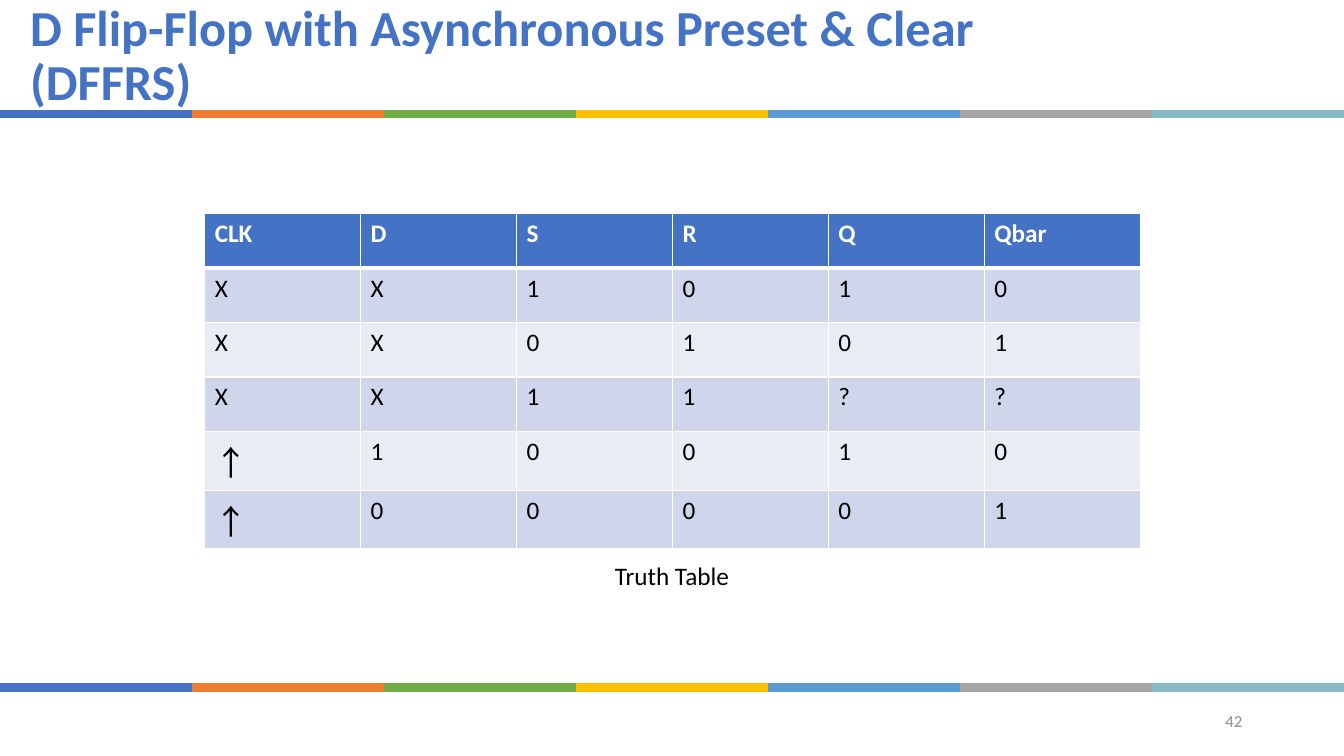
from dataclasses import dataclass
from typing import NamedTuple

from lxml import etree
from pptx import Presentation
from pptx import util as u
from pptx.dml import color
from pptx.enum import shapes, text
from pptx.oxml import ns


@dataclass(frozen=True)
class Theme:
    font: str = "Calibri"
    symbol: str = "Noto Sans CJK JP"
    blue: str = "4472C4"
    black: str = "000000"
    white: str = "FFFFFF"
    grey: str = "8C8C8C"
    bands: tuple = ("CFD5EA", "E9EBF5")
    stripes: tuple = ("4472C4", "ED7D31", "70AD47", "FFC000",
                      "5B9BD5", "A5A5A5", "86BAC4")
    title: int = 36
    arrow: int = 24
    body: int = 18
    small: int = 12


class Box(NamedTuple):
    left: float
    top: float
    width: float
    height: float

    def inches(self) -> list:
        return [u.Inches(n) for n in self]


class Style(NamedTuple):
    size: int
    color: str
    bold: bool = False
    font: str = "Calibri"


class Label(NamedTuple):
    words: str
    box: Box
    style: Style
    align: text.PP_ALIGN
    anchor: text.MSO_ANCHOR


WIDTH, HEIGHT = 13.33, 7.5
THEME = Theme()
HEAD = Style(THEME.body, THEME.white, True)
BODY = Style(THEME.body, THEME.black)
ARROW = Style(THEME.arrow, THEME.black, False, THEME.symbol)
GRID = Box(2.03, 2.12, 9.28, 3.24)
TRUTH = (
    ("CLK", "D", "S", "R", "Q", "Qbar"),
    ("X", "X", "1", "0", "1", "0"),
    ("X", "X", "0", "1", "0", "1"),
    ("X", "X", "1", "1", "?", "?"),
    ("↑", "1", "0", "0", "1", "0"),
    ("↑", "0", "0", "0", "0", "1"),
)
TITLE = Label("D Flip-Flop with Asynchronous Preset & Clear (DFFRS)",
              Box(0.2, 0.19, 10.93, 0.76),
              Style(THEME.title, THEME.blue, True),
              text.PP_ALIGN.LEFT, text.MSO_ANCHOR.MIDDLE)
LABELS = (
    Label("42", Box(9.42, 6.95, 3, 0.4), Style(THEME.small, THEME.grey),
          text.PP_ALIGN.RIGHT, text.MSO_ANCHOR.MIDDLE),
    Label("Truth Table", Box(3.85, 5.51, 5.63, 0.4), BODY,
          text.PP_ALIGN.CENTER, text.MSO_ANCHOR.TOP),
)


def add_run(para, words: str, style: Style) -> None:
    run = para.add_run()
    run.text = words
    font = run.font
    font.name, font.size, font.bold = style.font, u.Pt(style.size), style.bold
    font.color.rgb = color.RGBColor.from_string(style.color)
    if style.font == THEME.symbol:
        props = run._r.get_or_add_rPr()
        etree.SubElement(props, ns.qn("a:ea"), typeface=style.font)


def fill_label(shape, label: Label) -> None:
    shape.left, shape.top, shape.width, shape.height = label.box.inches()
    frame = shape.text_frame
    frame.word_wrap = True
    frame.auto_size = text.MSO_AUTO_SIZE.NONE
    frame.vertical_anchor = label.anchor
    para = frame.paragraphs[0]
    para.alignment = label.align
    add_run(para, label.words, label.style)


def add_stripes(slide, top: float) -> None:
    step = WIDTH / len(THEME.stripes)
    for i, tint in enumerate(THEME.stripes):
        line = slide.shapes.add_connector(
            shapes.MSO_CONNECTOR.STRAIGHT, u.Inches(i * step), u.Inches(top),
            u.Inches((i + 1) * step), u.Inches(top))
        line.line.width = u.Pt(6)
        line.line.color.rgb = color.RGBColor.from_string(tint)
        etree.SubElement(line.element.spPr, ns.qn("a:effectLst"))


def add_edges(cell, row: int) -> None:
    props = cell._tc.get_or_add_tcPr()
    thick = {(0, "B"), (1, "T")}
    for i, side in enumerate("LRTB"):
        width = 3 if (row, side) in thick else 1
        edge = etree.Element(ns.qn("a:ln" + side), w=str(u.Pt(width)))
        paint = etree.SubElement(edge, ns.qn("a:solidFill"))
        etree.SubElement(paint, ns.qn("a:srgbClr"), val=THEME.white)
        props.insert(i, edge)


def add_truth(slide) -> None:
    table = slide.shapes.add_table(
        len(TRUTH), len(TRUTH[0]), *GRID.inches()).table
    for r, row in enumerate(TRUTH):
        for c, words in enumerate(row):
            cell = table.cell(r, c)
            tint = THEME.bands[(r - 1) % 2] if r else THEME.blue
            cell.fill.solid()
            cell.fill.fore_color.rgb = color.RGBColor.from_string(tint)
            add_edges(cell, r)
            style = ARROW if words == "↑" else BODY if r else HEAD
            add_run(cell.text_frame.paragraphs[0], words, style)


def main() -> None:
    deck = Presentation()
    deck.slide_width, deck.slide_height = u.Inches(WIDTH), u.Inches(HEIGHT)
    slide = deck.slides.add_slide(deck.slide_layouts[5])
    for top in (1.13, 6.82):
        add_stripes(slide, top)
    title = slide.shapes.title
    fill_label(title, TITLE)
    title.text_frame.paragraphs[0].line_spacing = 0.9
    add_truth(slide)
    for label in LABELS:
        fill_label(slide.shapes.add_textbox(*label.box.inches()), label)
    deck.save("out.pptx")


if __name__ == "__main__":
    main()
